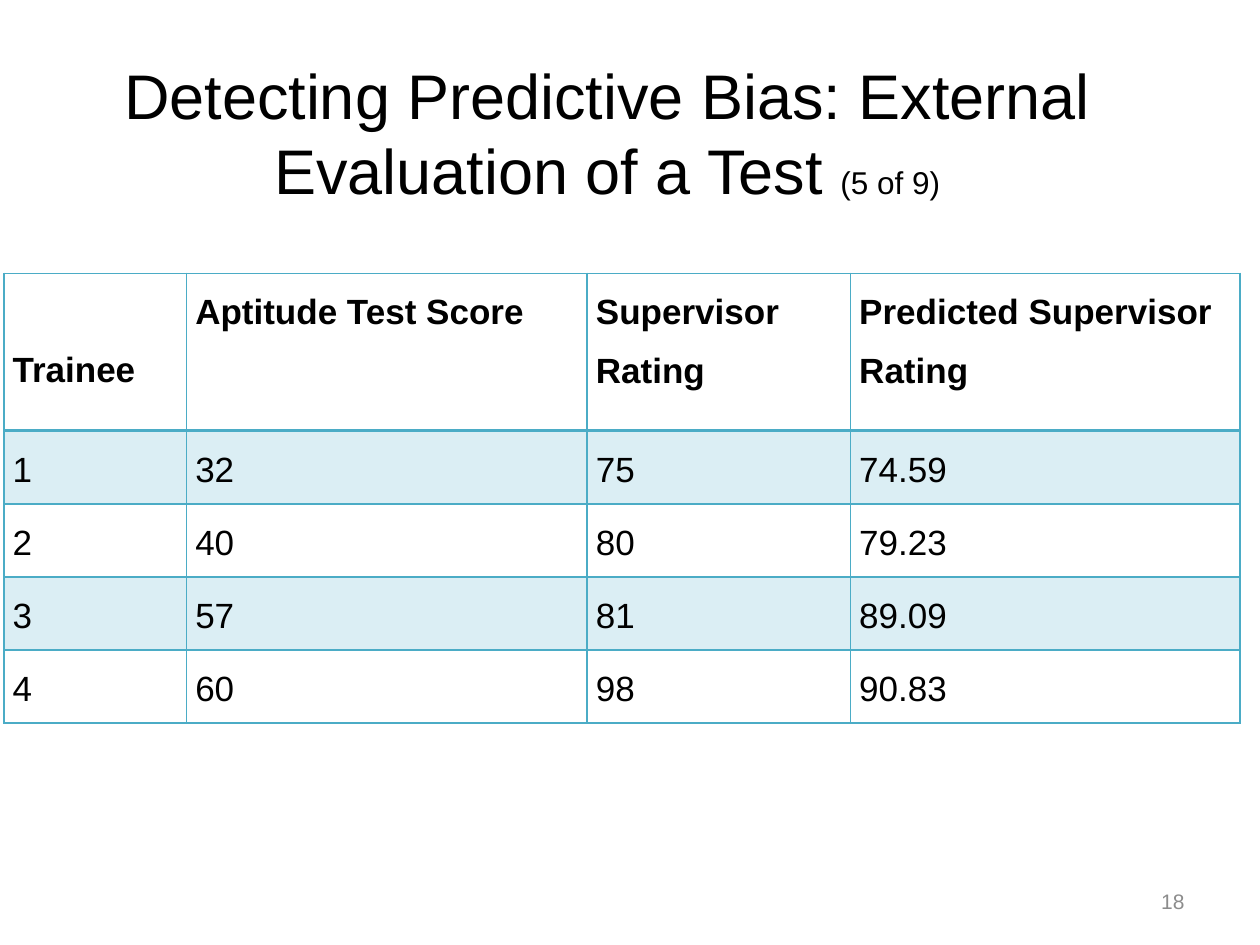
from lxml.etree import SubElement
from pptx import Presentation
from pptx.dml.color import RGBColor
from pptx.enum.text import MSO_ANCHOR, MSO_AUTO_SIZE, PP_ALIGN
from pptx.oxml.ns import qn
from pptx.util import Inches, Pt

BLACK = RGBColor(0x00, 0x00, 0x00)
GRAY = RGBColor(0x8C, 0x8C, 0x8C)
TEAL = RGBColor(0x4B, 0xAC, 0xC6)
PALE_TEAL = RGBColor(0xDB, 0xEE, 0xF4)

TITLE = [("Detecting Predictive Bias: External Evaluation of a Test ", 36), ("(5 of 9)", 18)]
HEADINGS = ("Trainee", "Aptitude Test Score", "Supervisor Rating", "Predicted Supervisor Rating")
TRAINEES = [
    ("1", "32", "75", "74.59"),
    ("2", "40", "80", "79.23"),
    ("3", "57", "81", "89.09"),
    ("4", "60", "98", "90.83"),
]
PAGE_NUMBER = "18"
COLUMN_WIDTHS = (1.45, 3.18, 2.09, 3.09)
ROW_HEIGHTS = (1.25,) + (0.58,) * len(TRAINEES)
HEADING_LINE = 0.46


def style_font(font, size, color=BLACK, bold=False):
    for key, value in {"name": "Arial", "size": Pt(size), "bold": bold}.items():
        setattr(font, key, value)
    font.color.rgb = color


def draw_borders(cell, widths):
    properties = cell._tc.get_or_add_tcPr()
    for side, width in widths.items():
        line = SubElement(properties, qn(f"a:ln{side}"), w=str(Pt(width)))
        fill = SubElement(line, qn("a:solidFill"))
        SubElement(fill, qn("a:srgbClr"), val=str(TEAL))


def fill_cell(cell, text, row, column):
    heading = row == 0
    drop = HEADING_LINE if heading and column == 0 else 0
    margins = {"left": 0.07, "right": 0.07, "top": drop, "bottom": 0}
    for side, margin in margins.items():
        setattr(cell, f"margin_{side}", Inches(margin))
    cell.text = text
    paragraph = cell.text_frame.paragraphs[0]
    paragraph.line_spacing = 1.5
    if not heading:
        paragraph.space_after = Pt(12)
    style_font(paragraph.runs[0].font, 20, bold=heading)
    draw_borders(cell, {"L": 1, "R": 1, "T": 2 if row == 1 else 1, "B": 2 if heading else 1})
    if row % 2:
        cell.fill.solid()
        cell.fill.fore_color.rgb = PALE_TEAL
    else:
        cell.fill.background()


def add_title(slide):
    title = slide.shapes.title
    box = {"left": 0.03, "top": 0.42, "width": 9.58, "height": 1.25}
    for key, value in box.items():
        setattr(title, key, Inches(value))
    frame = title.text_frame
    frame.auto_size = MSO_AUTO_SIZE.NONE
    frame.vertical_anchor = MSO_ANCHOR.MIDDLE
    paragraph = frame.paragraphs[0]
    paragraph.alignment = PP_ALIGN.CENTER
    for text, size in TITLE:
        run = paragraph.add_run()
        run.text = text
        style_font(run.font, size)


def add_ratings(slide):
    rows = [HEADINGS, *TRAINEES]
    ratings = slide.shapes.add_table(
        len(rows), len(HEADINGS), Inches(0.03), Inches(2.17),
        Inches(sum(COLUMN_WIDTHS)), Inches(sum(ROW_HEIGHTS)),
    ).table
    for column, width in zip(ratings.columns, COLUMN_WIDTHS):
        column.width = Inches(width)
    for row, height in zip(ratings.rows, ROW_HEIGHTS):
        row.height = Inches(height)
    for r, values in enumerate(rows):
        for c, text in enumerate(values):
            fill_cell(ratings.cell(r, c), text, r, c)


def add_page_number(slide):
    frame = slide.shapes.add_textbox(Inches(9), Inches(6.95), Inches(0.5), Inches(0.4)).text_frame
    frame.word_wrap = True
    frame.vertical_anchor = MSO_ANCHOR.MIDDLE
    frame.text = PAGE_NUMBER
    paragraph = frame.paragraphs[0]
    paragraph.alignment = PP_ALIGN.RIGHT
    style_font(paragraph.runs[0].font, 12, GRAY)


def main():
    presentation = Presentation()
    presentation.slide_width = Inches(10)
    presentation.slide_height = Inches(7.5)
    slide = presentation.slides.add_slide(presentation.slide_layouts[5])
    add_title(slide)
    add_ratings(slide)
    add_page_number(slide)
    presentation.save("out.pptx")


if __name__ == "__main__":
    main()
